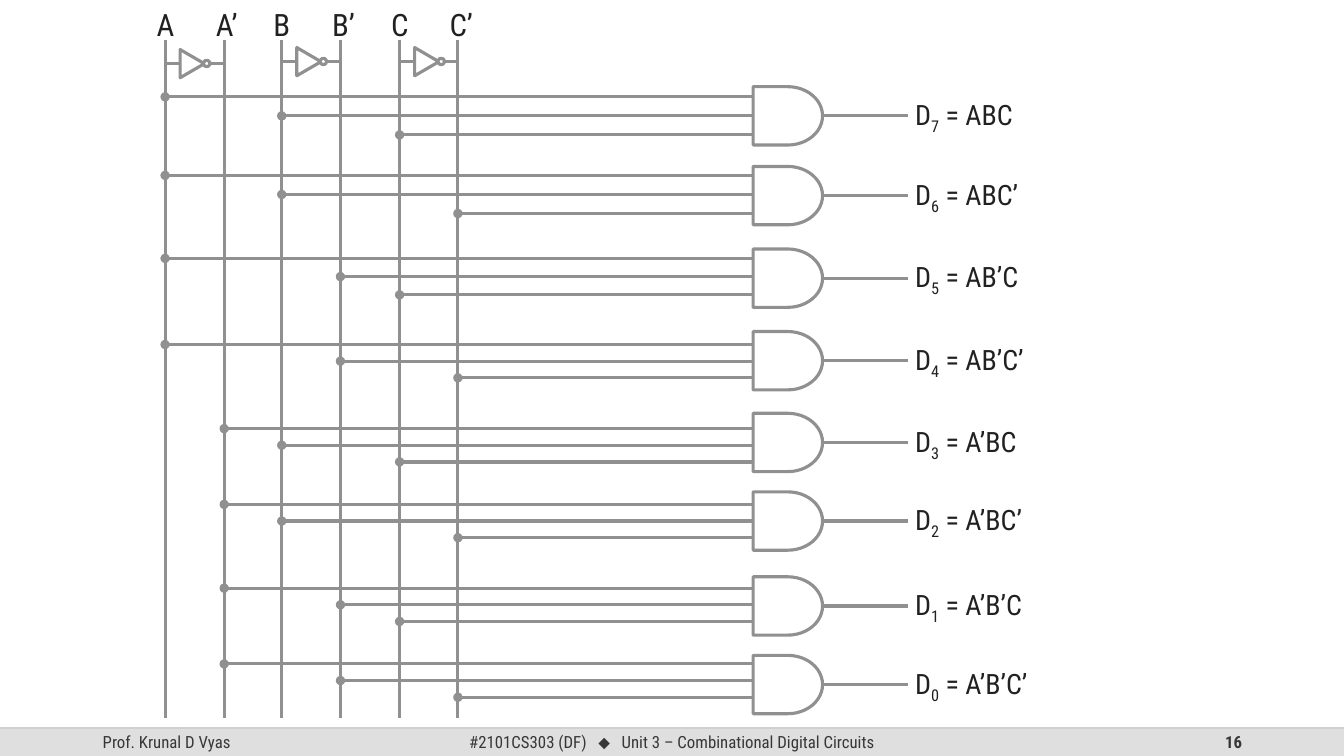
from lxml.etree import SubElement
from pptx import Presentation
from pptx.dml.color import RGBColor
from pptx.enum.shapes import MSO_CONNECTOR as Connector, MSO_SHAPE as Shape
from pptx.enum.text import MSO_ANCHOR as Anchor, PP_ALIGN as Align
from pptx.oxml.ns import qn
from pptx.util import Cm, Pt

WIRES = {"A": 4.16, "A’": 5.65, "B": 7.1, "B’": 8.58, "C": 10.07, "C’": 11.54}
INVERTERS = {"A": 1.6, "B": 1.55, "C": 1.55}
GATES = [
    (7, 2.92, 2.92, 0.48),
    (6, 4.93, 4.9, 0.48),
    (5, 7.01, 6.97, 0.46),
    (4, 9.09, 9.1, 0.42),
    (3, 11.15, 11.22, 0.42),
    (2, 13.13, 13.13, 0.42),
    (1, 15.27, 15.24, 0.42),
    (0, 17.25, 17.15, 0.42),
]
GATE_LEFT, GATE_WIDTH, GATE_HEIGHT = 18.98, 1.75, 1.47
OUTPUT_RIGHT = 22.89
FOOTER_TOP, FOOTER_HEIGHT = 18.34, 0.71


def color(value):
    return RGBColor.from_string(value)


def apply(target, values):
    for name, value in values.items():
        setattr(target, name, value)


class Diagram:
    font = "Roboto Condensed"
    ink = "212121"
    wire = "909090"
    footer_ink = "373737"

    def __init__(self, slide):
        self.slide = slide

    def line(self, x1, y1, x2, y2, hue=wire, width=2.25, dot=False, opacity=None):
        connector = self.slide.shapes.add_connector(
            Connector.STRAIGHT, Cm(x1), Cm(y1), Cm(x2), Cm(y2))
        connector.line.width = Pt(width)
        connector.line.color.rgb = color(hue)
        outline = connector.line._get_or_add_ln()
        if dot:
            SubElement(outline, qn("a:headEnd"), type="oval")
        if opacity:
            fill = outline.find(".//" + qn("a:srgbClr"))
            SubElement(fill, qn("a:alpha"), val=str(opacity * 1000))
        SubElement(connector._element.spPr, qn("a:effectLst"))

    def shape(self, kind, x, y, width, height, fill=None, outline=wire, rotation=0):
        shape = self.slide.shapes.add_shape(kind, Cm(x), Cm(y), Cm(width), Cm(height))
        shape.shadow.inherit = False
        shape.rotation = rotation
        if fill:
            shape.fill.solid()
            shape.fill.fore_color.rgb = color(fill)
        else:
            shape.fill.background()
        if outline:
            shape.line.width = Pt(2.25)
            shape.line.color.rgb = color(outline)
        else:
            shape.line.fill.background()

    def text(self, runs, x, y, width, height, size, hue=ink, align=Align.LEFT,
             anchor=Anchor.TOP, bold=False):
        box = self.slide.shapes.add_textbox(Cm(x), Cm(y), Cm(width), Cm(height))
        apply(box.text_frame, {"word_wrap": True, "vertical_anchor": anchor})
        paragraph = box.text_frame.paragraphs[0]
        paragraph.alignment = align
        for content, changes in runs:
            run = paragraph.add_run()
            run.text = content
            run.font.color.rgb = color(hue)
            apply(run.font, {"name": changes.get("name", self.font),
                             "size": Pt(size), "bold": bold})
            if "baseline" in changes:
                run.font._element.set("baseline", str(changes["baseline"]))

    def footer_text(self, runs, x, width, align, bold=False):
        self.text(runs, x, FOOTER_TOP, width, FOOTER_HEIGHT, 12, self.footer_ink,
                  align, Anchor.MIDDLE, bold)

    def footer(self):
        self.shape(Shape.RECTANGLE, 0, FOOTER_TOP, 33.87, FOOTER_HEIGHT, "DFDFDF", None)
        self.line(0, FOOTER_TOP, 33.87, FOOTER_TOP, "BFBFBF", 1, opacity=70)
        self.footer_text([("Prof. Krunal D Vyas", {})], 2.34, 7.62, Align.LEFT)
        self.footer_text([
            ("#2101CS303 (DF)   ", {}),
            ("⬥", {"name": "Arial"}),
            ("   Unit 3 – Combinational Digital Circuits", {}),
        ], 11.22, 11.43, Align.CENTER)
        self.footer_text([("16", {})], 23.93, 7.62, Align.RIGHT, True)

    def rail(self, name, x):
        self.line(x, 1, x, 18.1)
        self.text([(name, {})], x - 0.46, 0.02, 1.14, 1.19, 22)

    def inverter(self, x, y):
        self.line(x, y, x + 0.41, y)
        self.line(x + 1.1, y, x + 1.48, y)
        self.shape(Shape.ISOSCELES_TRIANGLE, x + 0.33, y - 0.3, 0.71, 0.61,
                   "FFFFFF", rotation=90)
        self.shape(Shape.OVAL, x + 0.97, y - 0.08, 0.16, 0.16, "FFFFFF")

    def gate(self, number, center, middle, gap):
        literals = [letter if number & weight else letter + "’"
                    for letter, weight in zip("ABC", (4, 2, 1))]
        for index, literal in enumerate(literals):
            y = middle + (index - 1) * gap
            self.line(WIRES[literal], y, GATE_LEFT, y, dot=True)
        self.line(GATE_LEFT + GATE_WIDTH, center, OUTPUT_RIGHT, center)
        self.shape(Shape.FLOWCHART_DELAY, GATE_LEFT, center - GATE_HEIGHT / 2,
                   GATE_WIDTH, GATE_HEIGHT)
        self.text([
            ("D", {}),
            (str(number), {"baseline": -25000}),
            (" = " + "".join(literals), {}),
        ], 22.81, center - 0.59, 3.6, 1.11, 20)


def main():
    presentation = Presentation()
    apply(presentation, {"slide_width": Cm(33.87), "slide_height": Cm(19.05)})
    slide = presentation.slides.add_slide(presentation.slide_layouts[6])
    diagram = Diagram(slide)
    diagram.footer()
    for name, x in WIRES.items():
        diagram.rail(name, x)
    for name, y in INVERTERS.items():
        diagram.inverter(WIRES[name], y)
    for gate in GATES:
        diagram.gate(*gate)
    presentation.save("out.pptx")


if __name__ == "__main__":
    main()
